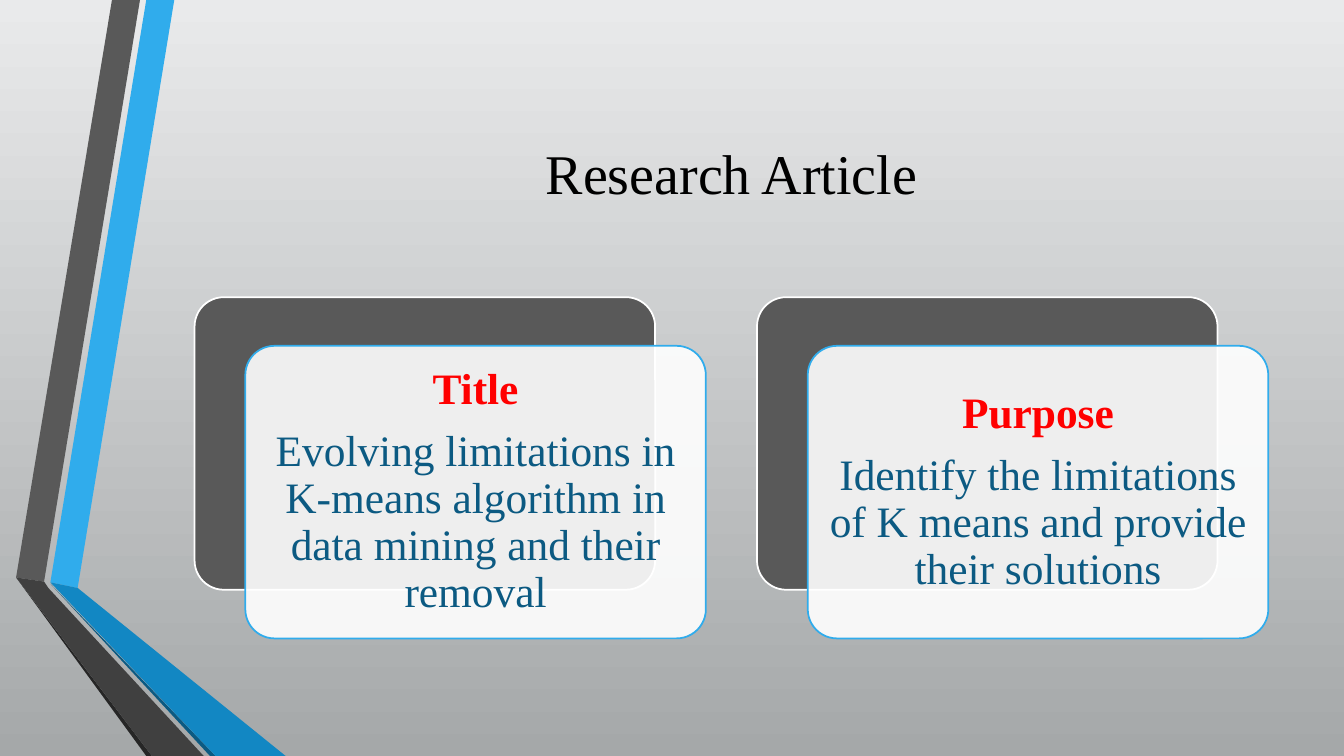
from lxml.etree import SubElement
from pptx import Presentation
from pptx.dml.color import RGBColor
from pptx.enum.shapes import MSO_SHAPE
from pptx.enum.text import MSO_ANCHOR, PP_ALIGN
from pptx.oxml.ns import qn
from pptx.util import Pt

WHITE = RGBColor(0xFF, 0xFF, 0xFF)
BLACK = RGBColor(0, 0, 0)
RED = RGBColor(0xFF, 0, 0)
SKY = RGBColor(0x30, 0xAC, 0xEC)
BLUE = RGBColor(0x12, 0x87, 0xC3)
NAVY = RGBColor(0x0C, 0x5A, 0x82)
GREY = RGBColor(0x59, 0x59, 0x59)
DARK_GREY = RGBColor(0x40, 0x40, 0x40)
CHARCOAL = RGBColor(0x26, 0x26, 0x26)
PALE = RGBColor(0xE9, 0xEA, 0xEB)
SILVER = RGBColor(0xA5, 0xA8, 0xA9)

RIBBONS = [
    (SKY, [(36, 416), (55.5, 420), (124.5, 0), (104.5, 0)]),
    (GREY, [(100, 0), (80, 0), (11.5, 412.5), (31.5, 415.5)]),
    (CHARCOAL, [(11.5, 412.5), (104.5, 540), (108.5, 540)]),
    (NAVY, [(36, 417), (150, 540), (154, 540)]),
    (BLUE, [(36, 416), (154, 540), (204, 540), (55.5, 420)]),
    (DARK_GREY, [(145.5, 540), (34.5, 420), (31.5, 415.5), (11.5, 412.5), (108.5, 540)]),
]
CARDS = [
    ("Title", "Evolving limitations in K-means algorithm in data mining and their removal"),
    ("Purpose", "Identify the limitations of K means and provide their solutions"),
]
CARD_LEFT, CARD_TOP, CARD_STEP = 139, 212.25, 401.75
CARD_WIDTH, CARD_HEIGHT = 329, 209
FRONT_SHIFT_X, FRONT_SHIFT_Y = 36.25, 34.75


def write(para, text, size, color, bold=False, font="Times New Roman", **spacing):
    """Fill a centred paragraph; spacing takes line_spacing and space_after."""
    para.alignment = PP_ALIGN.CENTER
    for name, value in spacing.items():
        setattr(para, name, value)
    span = para.add_run()
    span.text = text
    span.font.name, span.font.size, span.font.bold = font, Pt(size), bold
    span.font.color.rgb = color


class SlideBuilder:
    def __init__(self, page):
        self.page = page
        self.line_width = Pt(1.25)

    def background(self, top_color, bottom_color):
        fill = self.page.background.fill
        fill.gradient()
        fill.gradient_angle = 270
        for stop, color in zip(fill.gradient_stops, (top_color, bottom_color)):
            stop.color.rgb = color

    def ribbon(self, color, points):
        corners = [(Pt(x), Pt(y)) for x, y in points]
        builder = self.page.shapes.build_freeform(*corners[0])
        builder.add_line_segments(corners[1:], close=True)
        shape = builder.convert_to_shape()
        shape.shadow.inherit = False
        shape.fill.solid()
        shape.fill.fore_color.rgb = color
        shape.line.fill.background()

    def title(self, text, left, top, width, height):
        box = self.page.shapes.add_textbox(Pt(left), Pt(top), Pt(width), Pt(height))
        frame = box.text_frame
        frame.word_wrap = True
        frame.vertical_anchor = MSO_ANCHOR.MIDDLE
        write(frame.paragraphs[0], text, 40, BLACK)

    def panel(self, left, top, fill_color, line_color, opacity=100):
        shape = self.page.shapes.add_shape(
            MSO_SHAPE.ROUNDED_RECTANGLE, Pt(left), Pt(top), Pt(CARD_WIDTH), Pt(CARD_HEIGHT))
        shape.adjustments[0] = 0.1
        shape.shadow.inherit = False
        shape.fill.solid()
        shape.fill.fore_color.rgb = fill_color
        shape.line.color.rgb = line_color
        shape.line.width = self.line_width
        if opacity < 100:
            color = shape.fill._xPr.find(qn("a:solidFill"))[0]
            SubElement(color, qn("a:alpha")).set("val", str(opacity * 1000))
        return shape

    def card(self, left, top, heading, body):
        self.panel(left, top, GREY, WHITE)
        front = self.panel(left + FRONT_SHIFT_X, top + FRONT_SHIFT_Y, WHITE, SKY, opacity=90)
        frame = front.text_frame
        frame.word_wrap = True
        frame.vertical_anchor = MSO_ANCHOR.MIDDLE
        frame.margin_left = frame.margin_right = Pt(9.3)
        frame.margin_top = frame.margin_bottom = Pt(9.3)
        spacing = {"line_spacing": 0.9, "space_after": Pt(11)}
        write(frame.paragraphs[0], heading, 31, RED, bold=True, **spacing)
        write(frame.add_paragraph(), body, 31, NAVY, **spacing)


def main():
    deck = Presentation()
    deck.slide_width, deck.slide_height = Pt(960), Pt(540)
    slide = SlideBuilder(deck.slides.add_slide(deck.slide_layouts[6]))
    slide.background(PALE, SILVER)
    for color, points in RIBBONS:
        slide.ribbon(color, points)
    slide.title("Research Article", 139, 54, 767, 138)
    for index, (heading, body) in enumerate(CARDS):
        slide.card(CARD_LEFT + index * CARD_STEP, CARD_TOP, heading, body)
    deck.save("out.pptx")


if __name__ == "__main__":
    main()
